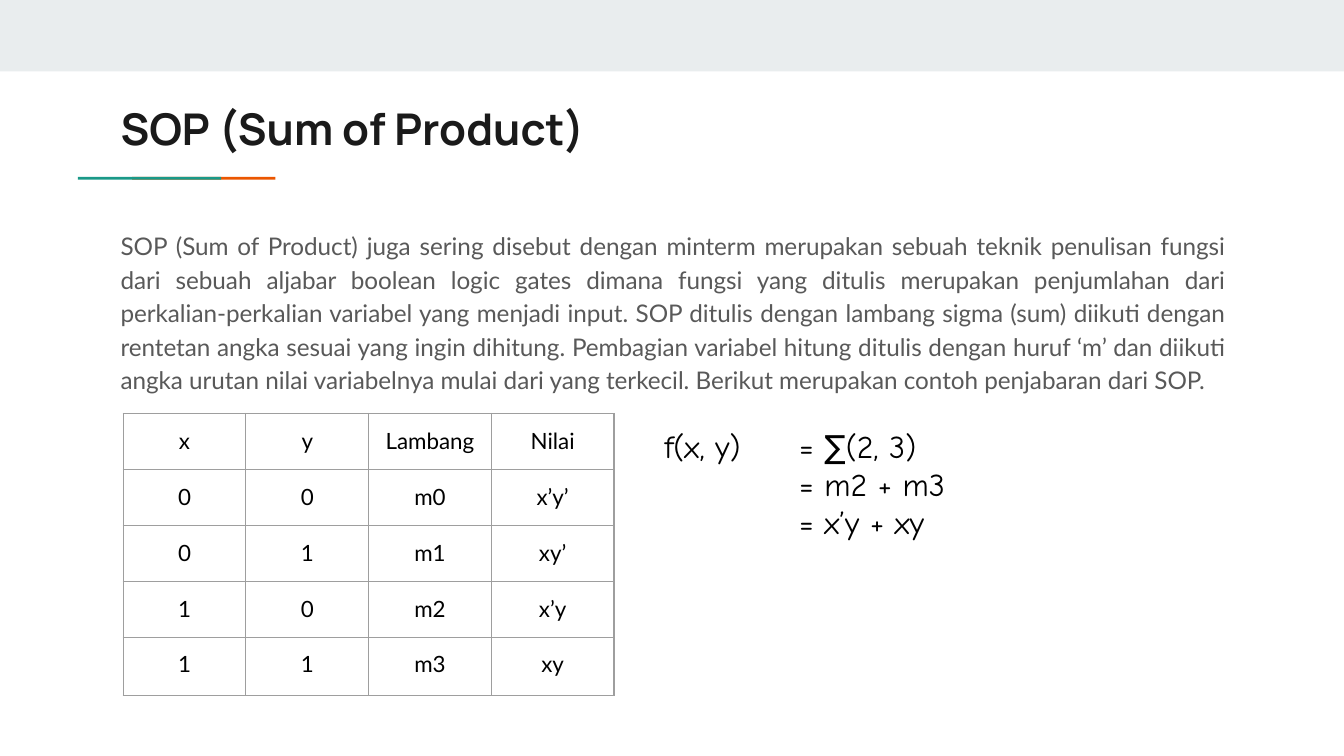
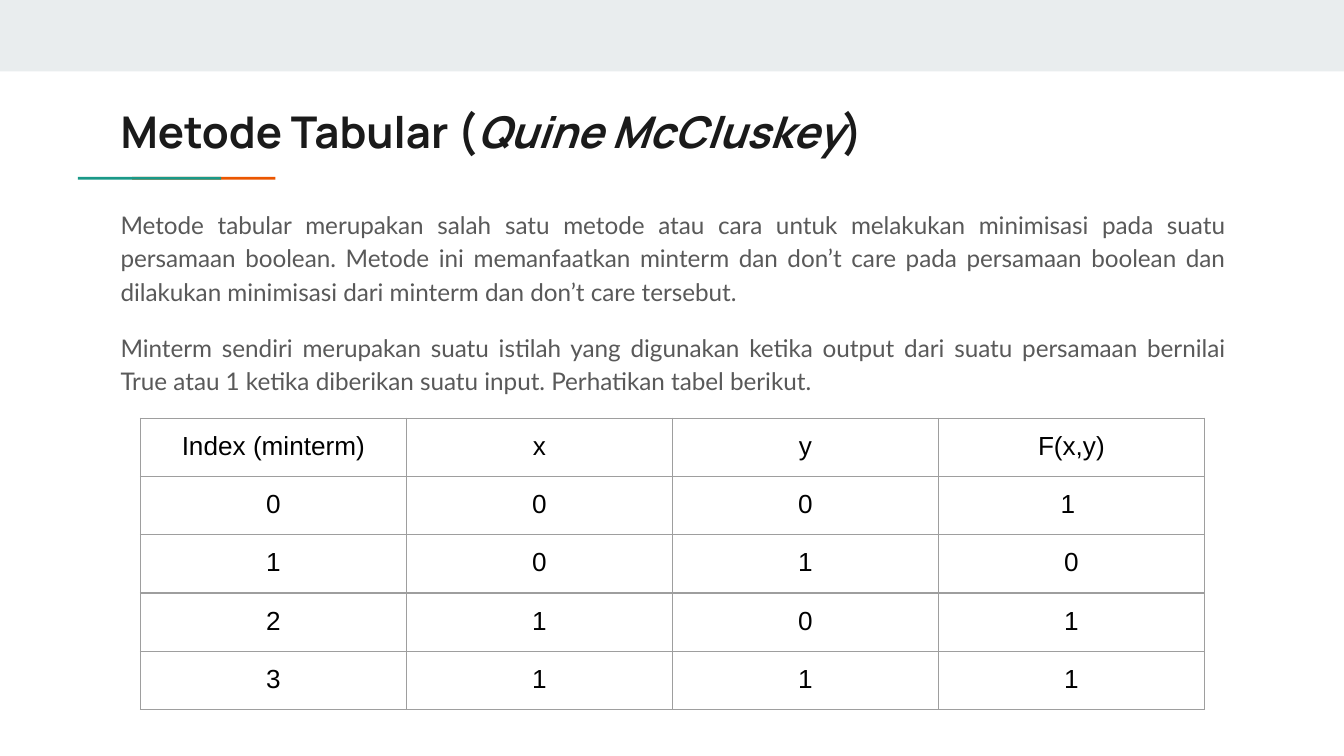
"""Builds two slides on Boolean algebra: sum of products and the tabular method."""
from dataclasses import dataclass

from lxml import etree
from pptx import Presentation
from pptx import util as u
from pptx.dml.color import RGBColor
from pptx.enum import shapes, text
from pptx.oxml import ns


@dataclass(frozen=True)
class Theme:
    band: str = "E9EDEE"
    orange: str = "EB5600"
    teal: str = "1A9988"
    heading: str = "1A1A1A"
    body: str = "595959"
    ink: str = "000000"
    grid: str = "9E9E9E"
    heading_size: float = 23.4
    body_size: float = 13
    formula_size: float = 17


theme = Theme()
LEFT, CENTER, JUSTIFY = text.PP_ALIGN.LEFT, text.PP_ALIGN.CENTER, text.PP_ALIGN.JUSTIFY


def write(frame, paragraphs, font, size, color, bold=False, align=LEFT,
          line_spacing=None, gap=0, anchor=text.MSO_ANCHOR.TOP):
    """Fills a frame; a paragraph is a string or a list of (text, italic) runs."""
    frame.word_wrap = True
    frame.vertical_anchor = anchor
    frame.margin_left = frame.margin_right = u.Pt(7.2)
    frame.margin_top = frame.margin_bottom = u.Pt(7.2)
    for index, content in enumerate(paragraphs):
        paragraph = frame.add_paragraph() if index else frame.paragraphs[0]
        paragraph.alignment = align
        if line_spacing:
            paragraph.line_spacing = line_spacing
        paragraph.space_before = u.Pt(gap if index else 0)
        for words, italic in [(content, False)] if isinstance(content, str) else content:
            run = paragraph.add_run()
            run.text = words
            run.font.name = font
            run.font.size = u.Pt(size)
            run.font.bold = bold
            run.font.italic = italic
            run.font.color.rgb = RGBColor.from_string(color)


def add_text(slide, box, paragraphs, **style):
    """Places a text box given as left, top, width and height in points."""
    frame = slide.shapes.add_textbox(*map(u.Pt, box)).text_frame
    write(frame, paragraphs, **style)


pages = [
    dict(
        title=[("SOP (Sum of Product)", False)],
        title_top=47.5,
        body=["SOP (Sum of Product) juga sering disebut dengan minterm merupakan sebuah teknik "
              "penulisan fungsi dari sebuah aljabar boolean logic gates dimana fungsi yang ditulis "
              "merupakan penjumlahan dari perkalian-perkalian variabel yang menjadi input. SOP "
              "ditulis dengan lambang sigma (sum) diikuti dengan rentetan angka sesuai yang ingin "
              "dihitung. Pembagian variabel hitung ditulis dengan huruf ‘m’ dan diikuti angka "
              "urutan nilai variabelnya mulai dari yang terkecil. Berikut merupakan contoh "
              "penjabaran dari SOP."],
        body_top=114.5,
        body_height=107,
        truth=[["x", "y", "Lambang", "Nilai"],
               ["0", "0", "m0", "x’y’"],
               ["0", "1", "m1", "xy’"],
               ["1", "0", "m2", "x’y"],
               ["1", "1", "m3", "xy"]],
        truth_at=(66, 221.5),
        column=65.75,
        last_row=31,
        truth_font=("Lato", 12),
        formula=["f(x, y) \t= ∑(2, 3)", "\t\t= m2 + m3", "\t\t= x’y + xy"],
    ),
    dict(
        title=[("Metode Tabular (", False), ("Quine McCluskey", True), (")", False)],
        title_top=49,
        body=["Metode tabular merupakan salah satu metode atau cara untuk melakukan minimisasi "
              "pada suatu persamaan boolean. Metode ini memanfaatkan minterm dan don’t care pada "
              "persamaan boolean dan dilakukan minimisasi dari minterm dan don’t care tersebut.",
              "Minterm sendiri merupakan suatu istilah yang digunakan ketika output dari suatu "
              "persamaan bernilai True atau 1 ketika diberikan suatu input. Perhatikan tabel "
              "berikut."],
        body_top=103,
        body_height=178,
        truth=[["Index (minterm)", "x", "y", "F(x,y)"],
               ["0", "0", "0", "1 "],
               ["1", "0", "1", "0"],
               ["2", "1", "0", "1"],
               ["3", "1", "1", "1"]],
        truth_at=(75.25, 224),
        column=142.5,
        last_row=30,
        truth_font=("Arial", 14),
        formula=[],
    ),
]

deck = Presentation()
deck.slide_width, deck.slide_height = u.Pt(720), u.Pt(405)

for page in pages:
    slide = deck.slides.add_slide(deck.slide_layouts[6])
    for color, *box in [(theme.band, 0, 0, 720, 38.25),
                        (theme.orange, 70.75, 94.75, 76.75, 1.5),
                        (theme.teal, 41.75, 94.75, 76.75, 1.5)]:
        bar = slide.shapes.add_shape(shapes.MSO_SHAPE.RECTANGLE, *map(u.Pt, box))
        bar.shadow.inherit = False
        bar.fill.solid()
        bar.fill.fore_color.rgb = RGBColor.from_string(color)
        bar.line.fill.background()

    add_text(slide, (57.5, page["title_top"], 605.5, 42.5), [page["title"]], font="Manrope",
             size=theme.heading_size, color=theme.heading, bold=True,
             anchor=text.MSO_ANCHOR.MIDDLE)
    add_text(slide, (57.5, page["body_top"], 605.5, page["body_height"]), page["body"],
             font="Lato", size=theme.body_size, color=theme.body, align=JUSTIFY,
             line_spacing=1.15, gap=12)

    rows, columns = len(page["truth"]), len(page["truth"][0])
    left, top = page["truth_at"]
    truth = slide.shapes.add_table(rows, columns, u.Pt(left), u.Pt(top),
                                   u.Pt(columns * page["column"]), u.Pt(rows * 30)).table
    truth.first_row = truth.horz_banding = False
    for column in truth.columns:
        column.width = u.Pt(page["column"])
    for row in truth.rows:
        row.height = u.Pt(30)
    truth.rows[rows - 1].height = u.Pt(page["last_row"])
    font, size = page["truth_font"]
    for r, values in enumerate(page["truth"]):
        for c, value in enumerate(values):
            cell = truth.cell(r, c)
            write(cell.text_frame, [value], font=font, size=size, color=theme.ink, align=CENTER)
            cell.margin_left = cell.margin_right = u.Pt(7.2)
            cell.margin_top = cell.margin_bottom = u.Pt(7.2)
            properties = cell._tc.get_or_add_tcPr()
            for side in "LRTB":
                edge = etree.SubElement(properties, ns.qn(f"a:ln{side}"), w=str(u.Pt(0.75)))
                paint = etree.SubElement(edge, ns.qn("a:solidFill"))
                etree.SubElement(paint, ns.qn("a:srgbClr"), val=theme.grid)
            cell.fill.background()

    if page["formula"]:
        add_text(slide, (349, 221.5, 313, 76.5), page["formula"], font="Comic Neue",
                 size=theme.formula_size, color=theme.ink)

deck.save("out.pptx")
